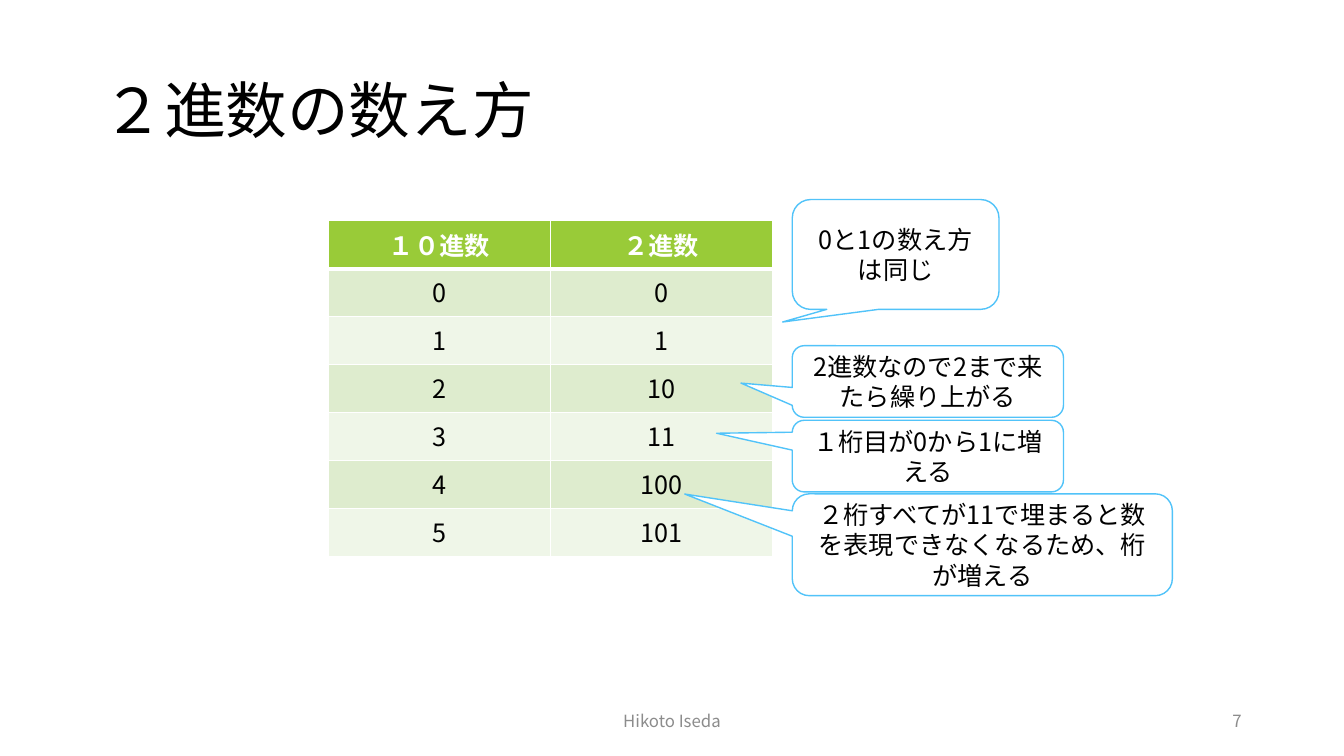
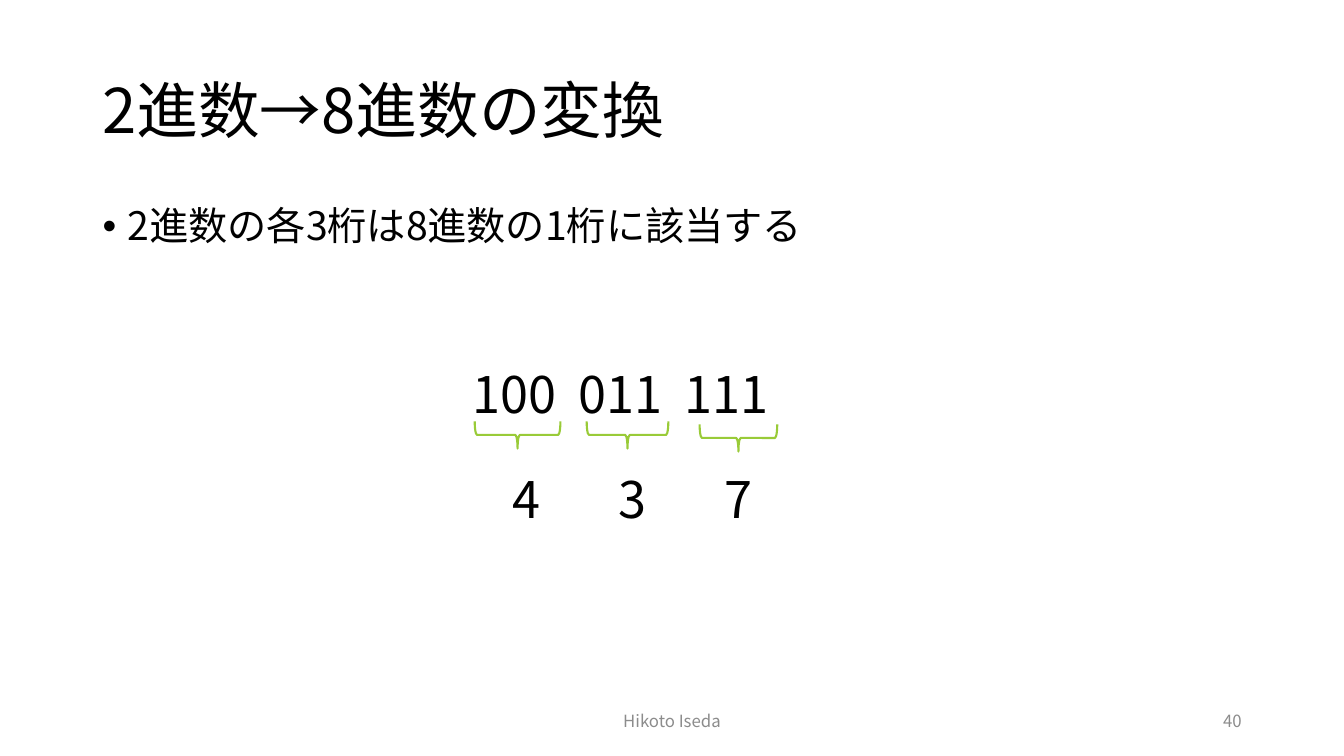
from dataclasses import dataclass
from lxml.etree import SubElement
from pptx import Presentation
from pptx.dml.color import RGBColor
from pptx.enum.shapes import MSO_SHAPE
from pptx.enum.text import MSO_ANCHOR, MSO_AUTO_SIZE, PP_ALIGN
from pptx.oxml.ns import qn
from pptx.util import Inches, Pt


@dataclass(frozen=True)
class Theme:
    font: str = "Noto Sans CJK JP"
    ink: str = "000000"
    paper: str = "FFFFFF"
    muted: str = "8C8C8C"
    green: str = "99CB38"
    blue: str = "51C3F9"
    bands: tuple = ("DEECCE", "EFF6E8")
    title_size: int = 44
    body_size: int = 28
    digit_size: int = 36
    label_size: int = 18
    footer_size: int = 12


THEME = Theme()
WIDTH, HEIGHT = Inches(13.333), Inches(7.5)
TITLE_LAYOUT, BODY_LAYOUT = 5, 1

# Places are left, top, width and height in percent of the slide.
TITLE_PLACE = (6.88, 5.33, 86.25, 19.33)
BODY_PLACE = (6.88, 26.67, 86.25, 63.44)
FOOTER_PLACE = (33.13, 92.67, 33.75, 5.33)
NUMBER_PLACE = (70.63, 92.67, 22.5, 5.33)
TABLE_PLACE = (24.41, 29.2, 33.07, 44.4)
CALLOUT_LEFT = 58.95

AUTHOR = "Hikoto Iseda"
COUNTING_ROWS = [("１０進数", "２進数")] + [(str(n), f"{n:b}") for n in range(6)]
# Text, top, width, height, pointer tip from the centre
CALLOUTS = [
    ("0と1の数え方は同じ", 26.4, 15.38, 14.53, (-0.547, 0.615)),
    ("2進数なので2まで来たら繰り上がる", 45.73, 20.18, 9.47, (-0.689, 0.023)),
    ("１桁目が0から1に増える", 55.6, 20.18, 9.47, (-0.779, -0.319)),
    ("２桁すべてが11で埋まると数を表現できなくなるため、桁が増える",
     65.33, 28.28, 13.47, (-0.783, -0.498)),
]
# Binary digits, octal digit, brace centre (x, y), brace length
DIGIT_GROUPS = [
    ("100", "4", 38.51, 57.53, 6.38),
    ("011", "3", 46.69, 57.53, 6.08),
    ("111", "7", 54.94, 57.93, 5.78),
]
GROUP_PITCH = 7.88
BRACE_DEPTH = 2.03


def across(percent):
    return round(WIDTH * percent / 100)


def down(percent):
    return round(HEIGHT * percent / 100)


def emu(place):
    left, top, width, height = place
    return across(left), down(top), across(width), down(height)


def apply(target, formats):
    for name, value in formats.items():
        setattr(target, name, value)


def write(frame, text, size, color=THEME.ink, bold=False, **paragraph_formats):
    """Fill a text frame with one formatted paragraph and return it."""
    para = frame.paragraphs[0]
    apply(para, paragraph_formats)
    span = para.add_run()
    span.text = text
    span.font.color.rgb = RGBColor.from_string(color)
    apply(span.font, {"size": Pt(size), "bold": bold, "name": THEME.font})
    SubElement(span.font._element, qn("a:ea"), typeface=THEME.font)
    return para


def fill_placeholder(box, place, text, size, anchor, **paragraph_formats):
    left, top, width, height = emu(place)
    apply(box, {"left": left, "top": top, "width": width, "height": height})
    apply(box.text_frame, {"vertical_anchor": anchor, "word_wrap": True,
                           "auto_size": MSO_AUTO_SIZE.NONE})
    return write(box.text_frame, text, size, alignment=PP_ALIGN.LEFT,
                 line_spacing=0.9, **paragraph_formats)


def add_text(page, place, text, size, color=THEME.ink,
             anchor=MSO_ANCHOR.TOP, alignment=PP_ALIGN.LEFT):
    frame = page.shapes.add_textbox(*emu(place)).text_frame
    apply(frame, {"word_wrap": True, "vertical_anchor": anchor})
    write(frame, text, size, color, alignment=alignment)


def add_page(deck, layout, title, number):
    """Add a slide with the shared title and footer."""
    page = deck.slides.add_slide(deck.slide_layouts[layout])
    fill_placeholder(page.shapes.title, TITLE_PLACE, title,
                     THEME.title_size, MSO_ANCHOR.MIDDLE)
    for place, text, alignment in (
        (FOOTER_PLACE, AUTHOR, PP_ALIGN.CENTER),
        (NUMBER_PLACE, str(number), PP_ALIGN.RIGHT),
    ):
        add_text(page, place, text, THEME.footer_size, THEME.muted,
                 MSO_ANCHOR.MIDDLE, alignment)
    return page


def add_bullet(page, text):
    para = fill_placeholder(page.placeholders[1], BODY_PLACE, text,
                            THEME.body_size, MSO_ANCHOR.TOP, space_before=Pt(10))
    properties = para._p.get_or_add_pPr()
    properties.set("marL", str(Inches(0.25)))
    properties.set("indent", str(-Inches(0.25)))
    SubElement(properties, qn("a:buFont"), typeface="Arial")
    SubElement(properties, qn("a:buChar"), char="•")


def fill_cell(cell, color, bottom_width):
    """Set the fill after the borders, as the file format orders them."""
    properties = cell._tc.get_or_add_tcPr()
    for side, width in (("L", 1), ("R", 1), ("T", 1), ("B", bottom_width)):
        border = SubElement(properties, qn(f"a:ln{side}"), w=str(Pt(width)))
        paint = SubElement(border, qn("a:solidFill"))
        SubElement(paint, qn("a:srgbClr"), val=THEME.paper)
    cell.fill.solid()
    cell.fill.fore_color.rgb = RGBColor.from_string(color)


def add_table(page, place, rows):
    table = page.shapes.add_table(len(rows), len(rows[0]), *emu(place)).table
    for row, texts in enumerate(rows):
        header = row == 0
        color = THEME.green if header else THEME.bands[(row - 1) % 2]
        # Neighbouring cells share an edge, so only the header's is thick.
        for column, text in enumerate(texts):
            cell = table.cell(row, column)
            fill_cell(cell, color, 3 if header else 1)
            write(cell.text_frame, text, THEME.label_size,
                  THEME.paper if header else THEME.ink, header,
                  alignment=PP_ALIGN.CENTER)


def add_outlined(page, kind, box, color, width):
    shape = page.shapes.add_shape(kind, *box)
    shape.shadow.inherit = False
    shape.line.color.rgb = RGBColor.from_string(color)
    shape.line.width = Pt(width)
    return shape


def add_callout(page, text, top, width, height, tip):
    shape = add_outlined(page, MSO_SHAPE.ROUNDED_RECTANGULAR_CALLOUT,
                         emu((CALLOUT_LEFT, top, width, height)), THEME.blue, 1)
    shape.fill.solid()
    shape.fill.fore_color.rgb = RGBColor.from_string(THEME.paper)
    for index, offset in enumerate(tip):
        shape.adjustments[index] = offset
    apply(shape.text_frame, {"word_wrap": True,
                             "vertical_anchor": MSO_ANCHOR.MIDDLE})
    write(shape.text_frame, text, THEME.label_size, alignment=PP_ALIGN.CENTER)


def add_brace(page, center_x, center_y, length):
    """Draw a brace that opens upward: a right brace turned a quarter."""
    depth, span = across(BRACE_DEPTH), across(length)
    box = (across(center_x) - depth // 2, down(center_y) - span // 2, depth, span)
    shape = add_outlined(page, MSO_SHAPE.RIGHT_BRACE, box, THEME.green, 1.5)
    shape.fill.background()
    shape.rotation = 90


def add_digit_group(page, index, binary, octal, *brace):
    shift = index * GROUP_PITCH
    add_text(page, (34.43 + shift, 47.33, 9, 9.47), binary, THEME.digit_size)
    add_brace(page, *brace)
    add_text(page, (37.43 + shift, 61.33, 3.6, 9.47), octal, THEME.digit_size)


def main():
    deck = Presentation()
    apply(deck, {"slide_width": WIDTH, "slide_height": HEIGHT})

    counting = add_page(deck, TITLE_LAYOUT, "２進数の数え方", 7)
    add_table(counting, TABLE_PLACE, COUNTING_ROWS)
    for callout in CALLOUTS:
        add_callout(counting, *callout)

    conversion = add_page(deck, BODY_LAYOUT, "2進数→8進数の変換", 40)
    add_bullet(conversion, "2進数の各3桁は8進数の1桁に該当する")
    for index, group in enumerate(DIGIT_GROUPS):
        add_digit_group(conversion, index, *group)

    deck.save("out.pptx")


if __name__ == "__main__":
    main()
